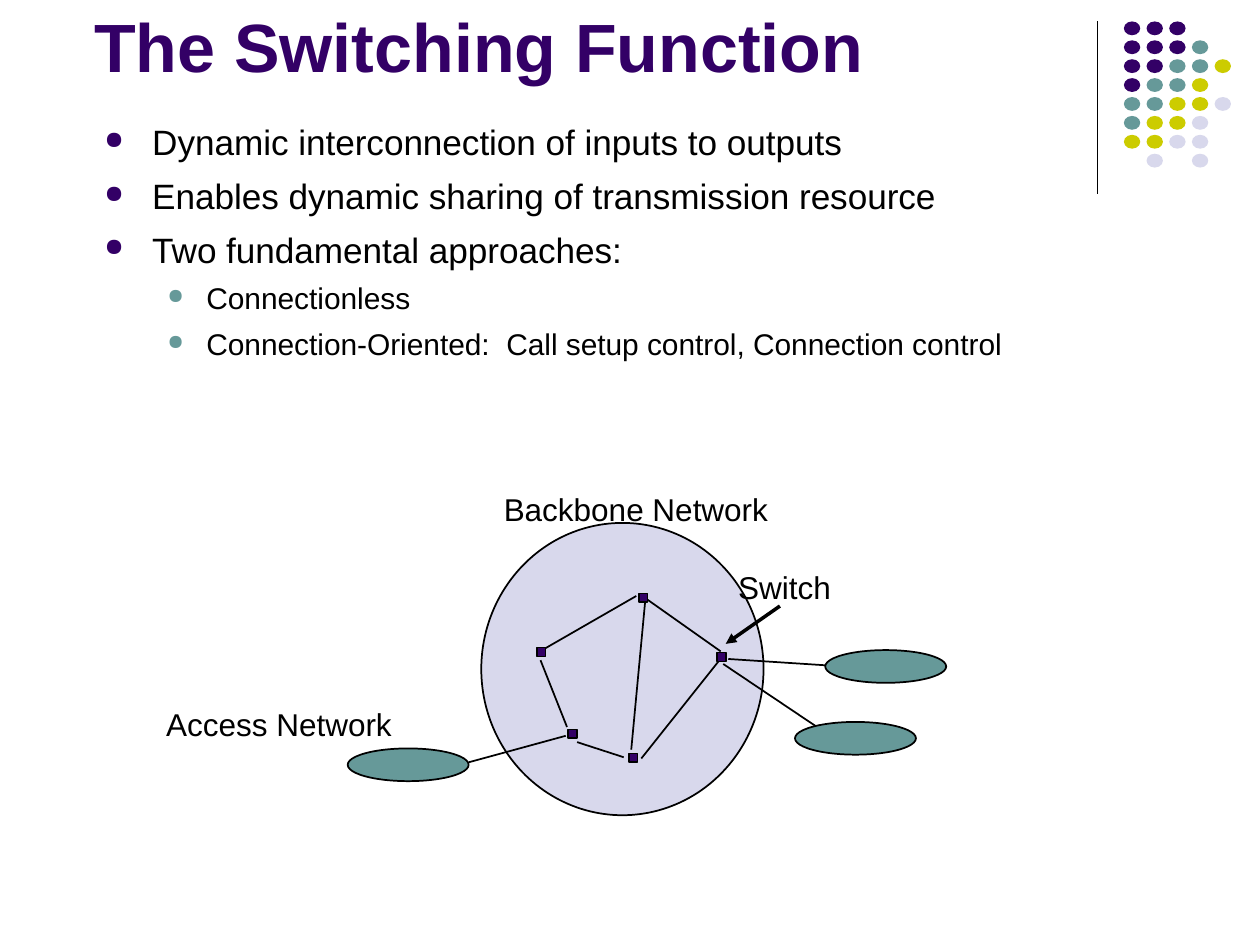
from lxml.etree import SubElement
from pptx import Presentation
from pptx.dml.color import RGBColor
from pptx.enum.shapes import MSO_CONNECTOR, MSO_SHAPE
from pptx.enum.text import MSO_ANCHOR, MSO_AUTO_SIZE
from pptx.oxml.ns import qn
from pptx.util import Inches, Pt

PURPLE, TEAL, OLIVE, LILAC, BLACK = "330066", "669999", "CCCC00", "D8D8EC", "000000"
FONT = "Arial"

TITLE = "The Switching Function"
BULLETS = [
    (0, "Dynamic interconnection of inputs to outputs"),
    (0, "Enables dynamic sharing of transmission resource"),
    (0, "Two fundamental approaches:"),
    (1, "Connectionless"),
    (1, "Connection-Oriented:  Call setup control, Connection control"),
]
LEVELS = [
    dict(size=20.1, before=6.5, color=PURPLE, margin=0.38, hang=0.38),
    dict(size=17.1, before=5.5, color=TEAL, margin=0.81, hang=0.31),
]
DOT_ROWS = ["PPP", "PPPT", "PPTTO", "PTTO", "TTOOL", "TOOL", "OOLL", " L L"]
DOT_COLORS = {"P": PURPLE, "T": TEAL, "O": OLIVE, "L": LILAC}

BACKBONE = (3.82, 4.15, 2.24, 2.32)
SWITCHES = [(5.69, 5.18), (4.26, 5.14), (4.51, 5.79), (4.99, 5.98), (5.07, 4.71)]
ACCESS_NETWORKS = [(6.55, 5.16), (2.76, 5.94), (6.31, 5.73)]
LINKS = [
    (4.32, 5.15, 5.05, 4.73),
    (5.14, 4.76, 5.72, 5.17),
    (4.29, 5.24, 4.5, 5.77),
    (4.58, 5.89, 4.95, 6.01),
    (5.12, 4.78, 5.01, 5.95),
    (5.09, 6.02, 5.71, 5.24),
    (5.78, 5.23, 6.55, 5.28),
    (3.72, 6.05, 4.49, 5.84),
    (5.74, 5.27, 6.47, 5.76),
]
SWITCH_POINTER = (6.19, 4.81, 5.76, 5.11)
LABELS = [
    ("Backbone Network", 3.9, 3.84, 2.3),
    ("Access Network", 1.22, 5.55, 1.99),
    ("Switch", 5.76, 4.46, 0.98),
]


def rgb(color):
    """Turn a hex string into a colour."""
    return RGBColor.from_string(color)


def add_figure(page, kind, left, top, width, height, fill, outlined=True):
    """Draw a filled preset shape."""
    figure = page.shapes.add_shape(kind, *map(Inches, (left, top, width, height)))
    figure.shadow.inherit = False
    figure.fill.solid()
    figure.fill.fore_color.rgb = rgb(fill)
    if outlined:
        figure.line.color.rgb = rgb(BLACK)
        figure.line.width = Pt(1)
    else:
        figure.line.fill.background()


def add_line(page, ends, width=1, arrow=False):
    """Draw a straight black line, with an arrowhead if asked."""
    line = page.shapes.add_connector(MSO_CONNECTOR.STRAIGHT, *map(Inches, ends))
    line.line.color.rgb = rgb(BLACK)
    line.line.width = Pt(width)
    if arrow:
        SubElement(line.line._get_or_add_ln(), qn("a:tailEnd"), type="triangle")
    SubElement(line._element.spPr, qn("a:effectLst"))


def add_box(page, left, top, width, height, wrap=True):
    """Add an empty text box and return its text frame."""
    box = page.shapes.add_textbox(*map(Inches, (left, top, width, height)))
    box.text_frame.word_wrap = wrap
    if not wrap:
        box.text_frame.auto_size = MSO_AUTO_SIZE.SHAPE_TO_FIT_TEXT
    return box.text_frame


def write(para, text, size, color=BLACK, bold=False):
    """Put text in a paragraph and set its font."""
    para.text = text
    font = para.font
    font.name, font.size, font.bold = FONT, Pt(size), bold
    font.color.rgb = rgb(color)


def add_bullet(para, level):
    """Give a paragraph the indent and bullet of its level."""
    properties = para._p.get_or_add_pPr()
    properties.set("marL", str(Inches(level["margin"])))
    properties.set("indent", str(-Inches(level["hang"])))
    color = SubElement(properties, qn("a:buClr"))
    SubElement(color, qn("a:srgbClr"), val=level["color"])
    SubElement(properties, qn("a:buSzPct"), val="70000")
    SubElement(properties, qn("a:buChar"), char="●")


def add_decoration(page):
    """Draw the corner rule and its grid of dots."""
    add_line(page, (8.71, 0.17, 8.71, 1.54), 0.75)
    for row, letters in enumerate(DOT_ROWS):
        for column, letter in enumerate(letters):
            if letter in DOT_COLORS:
                left, top = 8.92 + 0.18 * column, 0.17 + 0.15 * row
                add_figure(page, MSO_SHAPE.OVAL, left, top, 0.13, 0.11, DOT_COLORS[letter], False)


def add_content(page):
    """Write the title and the bullet list."""
    title = add_box(page, 0.65, -0.27, 8.5, 1.25)
    title.vertical_anchor = MSO_ANCHOR.MIDDLE
    write(title.paragraphs[0], TITLE, 39, PURPLE, True)
    body = add_box(page, 0.73, 0.91, 8.75, 2)
    for index, (depth, text) in enumerate(BULLETS):
        para = body.add_paragraph() if index else body.paragraphs[0]
        level = LEVELS[depth]
        para.level = depth
        add_bullet(para, level)
        if index:
            para.space_before = Pt(level["before"])
        write(para, text, level["size"])


def add_network(page):
    """Draw the backbone, its switches and the access networks."""
    add_figure(page, MSO_SHAPE.OVAL, *BACKBONE, LILAC)
    for ends in LINKS:
        add_line(page, ends)
    for left, top in SWITCHES:
        add_figure(page, MSO_SHAPE.RECTANGLE, left, top, 0.07, 0.07, PURPLE)
    for left, top in ACCESS_NETWORKS:
        add_figure(page, MSO_SHAPE.OVAL, left, top, 0.96, 0.26, TEAL)
    for text, left, top, width in LABELS:
        write(add_box(page, left, top, width, 0.4, False).paragraphs[0], text, 18)
    add_line(page, SWITCH_POINTER, 2, True)


def main():
    """Build the slide and save it."""
    deck = Presentation()
    deck.slide_width, deck.slide_height = Inches(10), Inches(7.5)
    page = deck.slides.add_slide(deck.slide_layouts[6])
    add_decoration(page)
    add_content(page)
    add_network(page)
    deck.save("out.pptx")


if __name__ == "__main__":
    main()
